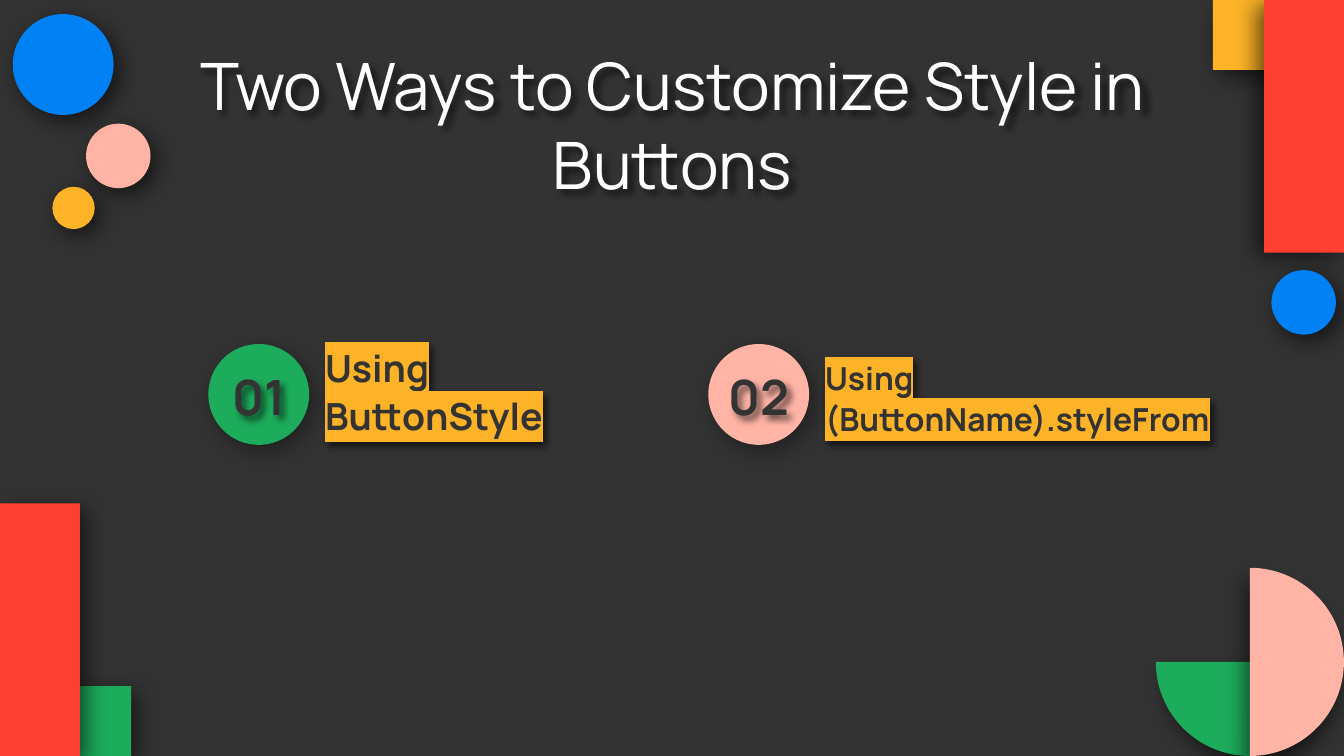
from lxml import etree
from pptx import Presentation
from pptx.dml.color import RGBColor
from pptx.enum.shapes import MSO_SHAPE
from pptx.enum.text import MSO_ANCHOR, PP_ALIGN
from pptx.oxml.ns import qn
from pptx.util import Inches, Pt

OVAL, RECT, PIE = MSO_SHAPE.OVAL, MSO_SHAPE.RECTANGLE, MSO_SHAPE.PIE
MIDDLE, BOTTOM = MSO_ANCHOR.MIDDLE, MSO_ANCHOR.BOTTOM
LEFT, CENTER = PP_ALIGN.LEFT, PP_ALIGN.CENTER

FONT = "Manrope"
DARK, WHITE = "333333", "FFFFFF"
BLUE, PINK, AMBER = "0082F4", "FFB4A6", "FDB327"
GREEN, RED = "1DAC5C", "FE4031"

# Grid of 100 square cells across the slide
WIDE = Inches(10)
HIGH = WIDE * 9 // 16
CELL = WIDE // 100
ROWS = HIGH / CELL

BAR_W, BAR_H = 5.95, 18.8
TAB_W, TAB_H = 5.9, 5.2


def color(code):
    return RGBColor.from_string(code)


def grid(*cells):
    return [round(n * CELL) for n in cells]


def shade(shape, alpha=59, blur=12.4, dist=4.5, angle=50):
    """Soft outer shadow."""
    shape.shadow.inherit = False
    effects = shape._element.spPr.find(qn("a:effectLst"))
    outer = etree.SubElement(
        effects, qn("a:outerShdw"), blurRad=str(Pt(blur)), dist=str(Pt(dist)),
        dir=str(angle * 60000), algn="bl", rotWithShape="0")
    tint = etree.SubElement(outer, qn("a:srgbClr"), val="000000")
    etree.SubElement(tint, qn("a:alpha"), val=str(alpha * 1000))


def block(slide, kind, box, fill, **shadow):
    shape = slide.shapes.add_shape(kind, *grid(*box))
    shape.fill.solid()
    shape.fill.fore_color.rgb = color(fill)
    shape.line.fill.background()
    shade(shape, **shadow)
    return shape


def disc(slide, x, y, size, fill, **shadow):
    block(slide, OVAL, (x, y, size, size), fill, **shadow)


def label(slide, box, lines, size, ink, align=CENTER, anchor=MIDDLE,
          bold=False, mark=None, right=1, pitch=1.0):
    shape = slide.shapes.add_textbox(*grid(*box))
    shade(shape, blur=4, dist=3)
    frame = shape.text_frame
    frame.word_wrap = True
    frame.vertical_anchor = anchor
    frame.margin_left = frame.margin_top = frame.margin_bottom = CELL
    frame.margin_right = right * CELL
    para = frame.paragraphs[0]
    para.alignment = align
    para.line_spacing = pitch
    for i, line in enumerate(lines):
        if i:
            para.add_line_break()
        run = para.add_run()
        run.text = line
        font = run.font
        font.name, font.size, font.bold = FONT, Pt(size), bold
        font.color.rgb = color(ink)
        if mark:
            glow = etree.Element(qn("a:highlight"))
            etree.SubElement(glow, qn("a:srgbClr"), val=mark)
            run._r.rPr.find(qn("a:solidFill")).addnext(glow)


def dots(slide, x, y):
    """Three discs in the top left corner."""
    disc(slide, x + 6.4, y + 9.2, 4.8, PINK)
    disc(slide, x + 0.95, y + 1.05, 7.5, BLUE)
    disc(slide, x + 3.9, y + 13.9, 3.15, AMBER)


def bars(slide, x, y, tab, bar, fill, angle):
    """A red bar over a small tab; tab and bar are offsets."""
    block(slide, RECT, (x + tab[0], y + tab[1], TAB_W, TAB_H), fill)
    block(slide, RECT, (x + bar, y, BAR_W, BAR_H), RED, angle=angle)


def pies(slide, x, y, size):
    """Quarter and half disc in the bottom right corner."""
    parts = ((GREEN, 90, 180, 50), (PINK, 270, 90, 107))
    for fill, start, end, angle in parts:
        pie = block(slide, PIE, (x, y, size, size), fill, dist=7.5, angle=angle)
        # One unit of adjustment is 100000 / 60000 degrees
        pie.adjustments[0] = start * 0.6
        pie.adjustments[1] = end * 0.6


def step(slide, x, y, wide, number, lines, size, fill):
    """Numbered disc with a marked heading beside it."""
    disc(slide, x, y, 7.5, fill, alpha=37)
    # Extra pitch keeps the mark of one line off the letters above
    label(slide, (x + 7.7, y, wide, 8), lines, size, DARK, LEFT, BOTTOM,
          bold=True, mark=AMBER, right=0, pitch=1.08)
    label(slide, (x - 0.2, y + 1.6, 8, 4.6), [number], 26, DARK, bold=True)


def main():
    deck = Presentation()
    deck.slide_width, deck.slide_height = WIDE, HIGH
    slide = deck.slides.add_slide(deck.slide_layouts[6])
    slide.background.fill.solid()
    slide.background.fill.fore_color.rgb = color(DARK)

    # Corner ornaments
    dots(slide, 0, 0)
    bars(slide, 0, ROWS - BAR_H, (3.85, BAR_H - TAB_H), 0, GREEN, 50)
    pies(slide, 86, ROWS - 14, 14)
    bars(slide, 90.25, 0, (0, 0), 3.8, AMBER, 149)
    disc(slide, 94.6, 20.1, 4.8, BLUE)

    # Two steps
    step(slide, 15.5, 25.6, 24.5, "01", ["Using ButtonStyle"], 20, GREEN)
    step(slide, 52.7, 25.6, 33.2, "02",
         ["Using", "(ButtonName).styleFrom"], 17, PINK)

    # Title
    label(slide, (7.9, 2.3, 84.3, 13.8),
          ["Two Ways to Customize Style in Buttons"], 35, WHITE)
    deck.save("out.pptx")


if __name__ == "__main__":
    main()
